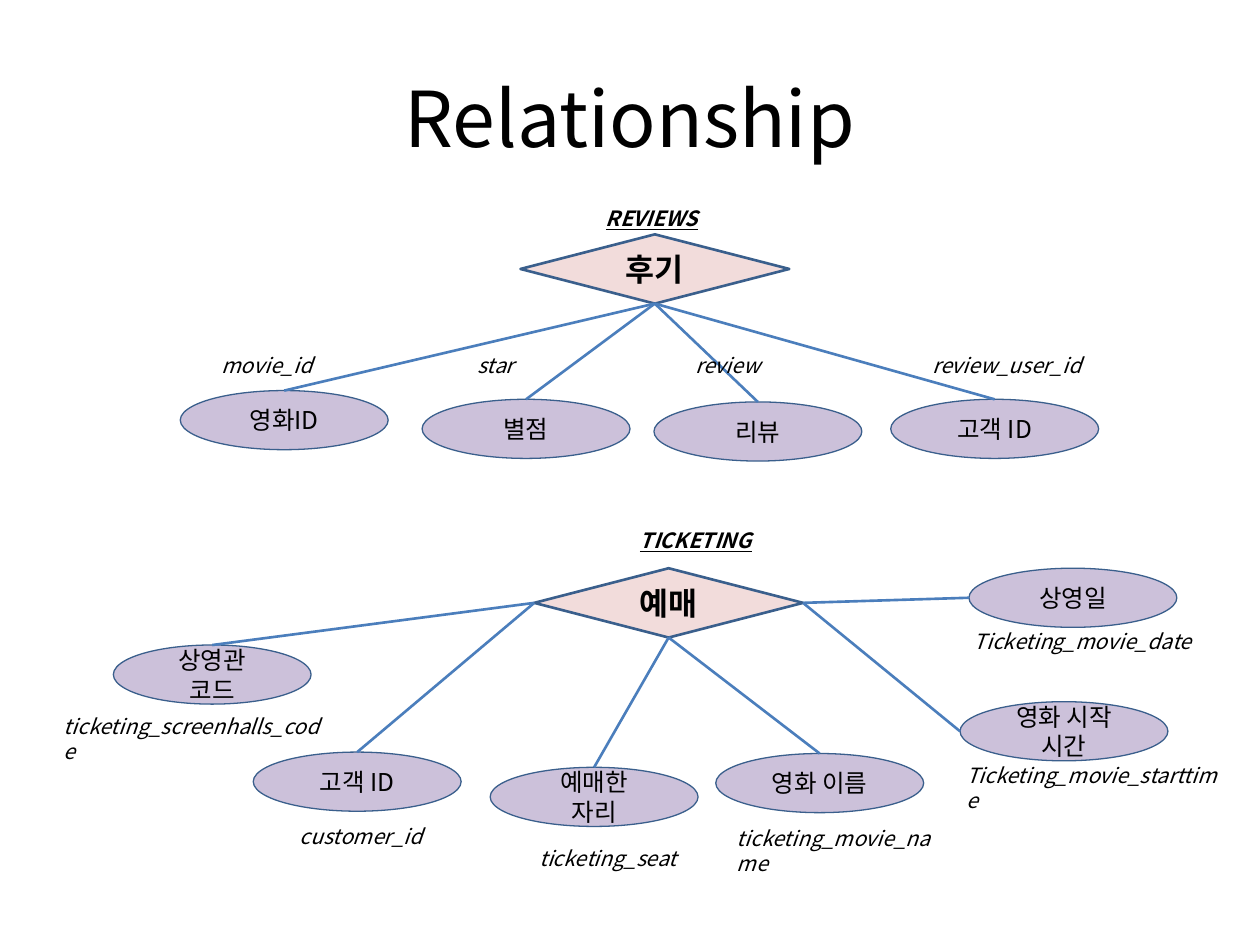
from dataclasses import dataclass

from lxml import etree
from pptx import Presentation
from pptx.dml.color import RGBColor
from pptx.enum import shapes, text
from pptx.oxml import ns
from pptx.util import Pt

FONT = "Noto Sans CJK KR"
BLACK = RGBColor(0x00, 0x00, 0x00)
PINK = RGBColor(0xF2, 0xDC, 0xDB)
LILAC = RGBColor(0xCC, 0xC1, 0xDA)
OUTLINE = RGBColor(0x3A, 0x5F, 0x8C)
LINK = RGBColor(0x4B, 0x7E, 0xBC)

DIAMOND_WIDTH, DIAMOND_HEIGHT = 153.6, 39.6
OVAL_WIDTH, OVAL_HEIGHT = 118.8, 33.8
LABEL_HEIGHT = 21.8
TOP, LEFT, BOTTOM, RIGHT = range(4)


@dataclass
class Attribute:
    """An oval with its column label, placed relative to its region."""
    lines: tuple
    x: float
    y: float
    label: str
    label_x: float
    label_y: float
    label_width: float
    source: int = BOTTOM
    target: int = TOP
    width: float = OVAL_WIDTH


@dataclass
class Relationship:
    """A diamond with its caption and attributes, placed relative to a region."""
    name: str
    x: float
    y: float
    caption: str
    caption_x: float
    caption_y: float
    attributes: list


REVIEWS = Relationship("후기", 197.4, 23.9, "REVIEWS", 239.1, 3.8, [
    Attribute(("영화ID",), 3, 113.2, "movie_id", 19.5, 88, 116.6),
    Attribute(("별점",), 141.2, 118.2, "star", 165.7, 88, 116.6),
    Attribute(("리뷰",), 273.7, 119.7, "review", 290.2, 88, 116.6),
    Attribute(("고객 ID",), 409, 118.2, "review_user_id", 425.6, 88, 116.6),
])

TICKETING = Relationship("예매", 275.3, 26.7, "TICKETING", 328.6, 0, [
    Attribute(("상영관", "코드"), 34.8, 70.6, "ticketing_screenhalls_code",
              -0.5, 105.9, 163.4, LEFT, width=113),
    Attribute(("고객 ID",), 114.7, 131.8, "customer_id", 134.2, 169.3, 85.7, LEFT),
    Attribute(("예매한", "자리"), 250.1, 140.5, "ticketing_seat", 271, 181.5, 98),
    Attribute(("영화 이름",), 379, 132.6, "ticketing_movie_name", 384, 170, 135.4),
    Attribute(("영화 시작 시간",), 518.6, 103, "Ticketing_movie_starttime",
              515, 134, 159.8, RIGHT, LEFT),
    Attribute(("상영일",), 523.7, 26.7, "Ticketing_movie_date",
              519.4, 57.7, 159.8, RIGHT, LEFT),
])


def write(frame, lines, size, align, bold=False, italic=False, underline=False):
    """Write one paragraph per line into a text frame."""
    frame.word_wrap = True
    for index, line in enumerate(lines):
        para = frame.paragraphs[0] if index == 0 else frame.add_paragraph()
        para.alignment = align
        span = para.add_run()
        span.text = line
        font = span.font
        font.name, font.size = FONT, Pt(size)
        font.bold, font.italic, font.underline = bold, italic, underline
        font.color.rgb = BLACK
        east_asian = etree.SubElement(span._r.get_or_add_rPr(), ns.qn("a:ea"))
        east_asian.set("typeface", FONT)


def add_node(page, kind, left, top, width, height, fill, line_width):
    """Add an outlined, filled shape without a shadow."""
    node = page.shapes.add_shape(kind, Pt(left), Pt(top), Pt(width), Pt(height))
    node.shadow.inherit = False
    node.fill.solid()
    node.fill.fore_color.rgb = fill
    node.line.color.rgb = OUTLINE
    node.line.width = Pt(line_width)
    node.text_frame.vertical_anchor = text.MSO_ANCHOR.MIDDLE
    return node


def add_label(page, label, left, top, width, heading=False):
    """Add an italic label, or a bold underlined one for a heading."""
    box = page.shapes.add_textbox(Pt(left), Pt(top), Pt(width), Pt(LABEL_HEIGHT))
    write(box.text_frame, [label], 12, text.PP_ALIGN.LEFT,
          bold=heading, italic=True, underline=heading)
    box.text_frame.auto_size = text.MSO_AUTO_SIZE.SHAPE_TO_FIT_TEXT


def add_link(page, diamond, source, oval, target):
    """Join a side of the diamond to the top or left of an oval."""
    end_x, end_y = oval.left, oval.top + oval.height // 2
    link = page.shapes.add_connector(
        shapes.MSO_CONNECTOR.STRAIGHT, diamond.left, diamond.top, end_x, end_y)
    link.begin_connect(diamond, source)
    if target == TOP:
        link.end_connect(oval, TOP)
    link.line.color.rgb = LINK
    link.line.width = Pt(1.5)
    etree.SubElement(link._element.spPr, ns.qn("a:effectLst"))


def add_relationship(page, left, top, relation):
    """Draw a relationship and its attributes from a region's corner."""
    diamond = add_node(page, shapes.MSO_SHAPE.DIAMOND, left + relation.x,
                       top + relation.y, DIAMOND_WIDTH, DIAMOND_HEIGHT, PINK, 1.5)
    write(diamond.text_frame, [relation.name], 18, text.PP_ALIGN.CENTER, bold=True)
    add_label(page, relation.caption, left + relation.caption_x,
              top + relation.caption_y, 90.7, heading=True)
    for item in relation.attributes:
        oval = add_node(page, shapes.MSO_SHAPE.OVAL, left + item.x, top + item.y,
                        item.width, OVAL_HEIGHT, LILAC, 0.75)
        write(oval.text_frame, item.lines, 14, text.PP_ALIGN.CENTER)
        add_link(page, diamond, item.source, oval, item.target)
        add_label(page, item.label, left + item.label_x, top + item.label_y,
                  item.label_width)


def add_title(page, left, top, width, height):
    """Place and format the slide title."""
    title = page.shapes.title
    title.left, title.top = Pt(left), Pt(top)
    title.width, title.height = Pt(width), Pt(height)
    title.text_frame.vertical_anchor = text.MSO_ANCHOR.MIDDLE
    write(title.text_frame, ["Relationship"], 44, text.PP_ALIGN.CENTER)


def main():
    """Build and save the deck."""
    deck = Presentation()
    deck.slide_width, deck.slide_height = Pt(720), Pt(540)
    page = deck.slides.add_slide(deck.slide_layouts[5])
    add_title(page, 36, 21.6, 648, 90)
    add_relationship(page, 100, 110, REVIEWS)
    add_relationship(page, 30, 298, TICKETING)
    deck.save("out.pptx")


if __name__ == "__main__":
    main()
